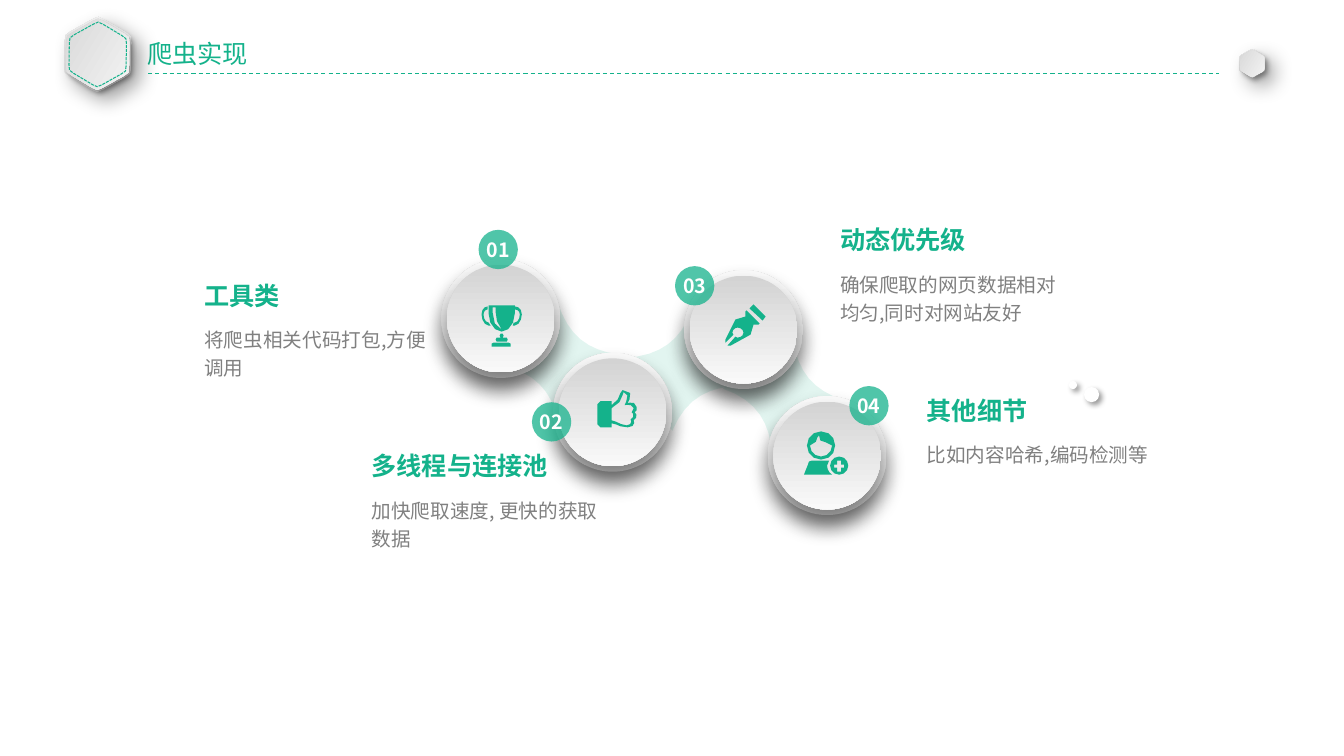
import math
from pptx import Presentation
from pptx.dml.color import RGBColor
from pptx.enum.dml import MSO_LINE
from pptx.enum.shapes import MSO_CONNECTOR, MSO_SHAPE
from pptx.enum.text import MSO_ANCHOR, MSO_AUTO_SIZE, PP_ALIGN
from pptx.oxml import parse_xml
from pptx.oxml.ns import nsdecls, qn
from pptx.util import Inches, Pt

OVAL = MSO_SHAPE.OVAL
STRAIGHT = MSO_CONNECTOR.STRAIGHT
DASH, SHORT_DASH = MSO_LINE.DASH, MSO_LINE.SQUARE_DOT
TOP, MIDDLE = MSO_ANCHOR.TOP, MSO_ANCHOR.MIDDLE
LEFT, CENTER = PP_ALIGN.LEFT, PP_ALIGN.CENTER
NO_AUTOFIT = MSO_AUTO_SIZE.NONE

FONT = "Noto Sans CJK SC"
GREEN, GRAY, WHITE = "14B28B", "808080", "FFFFFF"
SILVER, PEARL = "D3D3D3", "F9F9F9"
DEEP, SOFT = (15, 9), (4, 3)

BRIDGE = "0,0 87,0 C 67,33 72,57 87,80 0,80 C 15,57 21,31 0,0"
BRIDGES = [(6.33, 3.29, 236.3), (7.33, 3.51, 322.6), (5.1, 3.17, 312)]

TROPHY = (
    "33,20 31,20 32,17 33,17 C 36,17 38,13 38,9 C 38,6 36,4 33,4 33,1 C 37,1 40,4 40,9 C 40,14 37,20 33,20"
    " / 20,26 C 13,26 7,18 7,8 7,0 33,0 33,8 C 33,18 27,26 20,26"
    " / 14,2 11,2 C 11,2 10,23 20,24 C 13,18 14,2 14,2"
    " / 7,17 9,20 7,20 C 3,20 0,14 0,9 C 0,4 3,1 6,1 6,4 C 4,4 2,6 2,9 C 2,13 4,17 7,17"
    " / 18,30 19,28 21,28 22,30 21,32 19,32"
    " / 26,34 25,36 15,36 14,34 15,32 25,32"
    " / 12,37 27,37 29,38 29,41 10,41 10,38"
)
THUMB = (
    "37,23 C 40,24 39,30 36,31 C 37,33 37,38 30,38 C 21,38 19,34 14,34 14,38 3,38 0,35 0,15 3,12 14,12 14,16"
    " C 23,12 22,1 25,1 C 39,0 30,14 30,14 C 30,14 38,11 39,18 39,21 37,23"
    " / 27,16 C 27,16 34,3 26,3 C 25,3 25,15 14,19 14,31 C 18,31 23,36 29,36 C 34,36 34,32 33,30"
    " C 37,29 36,23 34,23 36,19 C 35,14 27,16 27,16"
)
PEN = (
    "37,16 24,4 28,0 40,12 / 33,20 28,20 25,30 5,41 2,41 10,32 12,33 C 15,33 18,31 18,28"
    " C 18,25 15,23 12,23 C 10,23 7,25 7,28 8,30 0,38 0,35 10,15 20,12 20,7 21,6 34,19"
)
USER = (
    "35,43 C 30,43 26,39 26,34 C 26,29 30,25 35,25 C 40,25 44,29 44,34 C 44,39 40,43 35,43"
    " / 40,33 37,33 37,29 33,29 33,33 30,33 30,36 33,36 33,40 37,40 37,36 40,36"
    " / 17,28 C 9,28 3,22 3,14 C 3,6 9,0 17,0 C 25,0 31,6 31,14 C 31,22 25,28 17,28"
    " / 15,4 C 11,5 16,11 6,14 C 6,20 11,25 17,25 C 23,25 28,20 28,14 C 23,9 13,12 15,4"
    " / 8,29 25,29 23,34 C 23,38 25,41 28,43 0,43 4,33 5,30"
)
STATIONS = [
    ("01", (4.38, 2.57), (0.37, -0.29), TROPHY, (0.4, 0.46), (1.93, 2.73), 0.64,
     "工具类", "将爬虫相关代码打包,方便调用"),
    ("02", (5.49, 3.5), (-0.21, 0.49), THUMB, (0.44, 0.36), (3.59, 4.42), 0.64,
     "多线程与连接池", "加快爬取速度, 更快的获取\n数据"),
    ("03", (6.79, 2.68), (-0.09, -0.04), PEN, (0.41, 0.34), (8.24, 2.18), 0.64,
     "动态优先级", "确保爬取的网页数据相对均匀,同时对网站友好"),
    ("04", (7.62, 3.93), (0.81, -0.1), USER, (0.36, 0.35), (9.1, 3.87), 0.36,
     "其他细节", "比如内容哈希,编码检测等"),
]


def rgb(color):
    return RGBColor.from_string(color)


def paint(shape, color=None, opacity=100, gradient_angle=None, shadow=None, angle=45):
    shape.line.fill.background()
    shape.shadow.inherit = False
    properties = shape.element.spPr
    if gradient_angle is not None:
        shape.fill.gradient()
        shape.fill.gradient_angle = gradient_angle
        for stop, stop_color in zip(shape.fill.gradient_stops, (SILVER, PEARL)):
            stop.color.rgb = rgb(stop_color)
    elif color:
        shape.fill.solid()
        shape.fill.fore_color.rgb = rgb(color)
        if opacity < 100:
            tint = properties.find(qn("a:solidFill")).find(qn("a:srgbClr"))
            tint.append(parse_xml(f'<a:alpha {nsdecls("a")} val="{opacity * 1000}"/>'))
    else:
        shape.fill.background()
    if shadow:
        blur, distance = shadow
        properties.find(qn("a:effectLst")).append(parse_xml(
            f'<a:outerShdw {nsdecls("a")} blurRad="{Pt(blur)}" dist="{Pt(distance)}" '
            f'dir="{angle * 60000}" algn="ctr" rotWithShape="0">'
            '<a:srgbClr val="000000"><a:alpha val="40000"/></a:srgbClr></a:outerShdw>'))


def write(shape, text, size, color, bold=False, align=LEFT, anchor=TOP, spacing=None, insets=(0.1, 0.05)):
    frame = shape.text_frame
    frame.text = text
    frame.word_wrap = True
    frame.auto_size = NO_AUTOFIT
    frame.vertical_anchor = anchor
    frame.margin_left = frame.margin_right = Inches(insets[0])
    frame.margin_top = frame.margin_bottom = Inches(insets[1])
    for paragraph in frame.paragraphs:
        paragraph.alignment = align
        paragraph.line_spacing = spacing
        for run in paragraph.runs:
            run.font.size = Pt(size)
            run.font.bold = bold
            run.font.name = FONT
            run.font.color.rgb = rgb(color)
    for latin in list(shape.element.iter(qn("a:latin"))):
        latin.addnext(parse_xml(f'<a:ea {nsdecls("a")} typeface="{FONT}"/>'))


def bezier(start, first, second, end, steps):
    for step in range(1, steps + 1):
        t = step / steps
        weights = ((1 - t) ** 3, 3 * t * (1 - t) ** 2, 3 * t * t * (1 - t), t ** 3)
        yield tuple(sum(w * p[axis] for w, p in zip(weights, (start, first, second, end))) for axis in (0, 1))


def contour(outline, steps):
    points, tokens = [], iter(outline.split())
    for token in tokens:
        if token == "C":
            controls = [tuple(map(float, next(tokens).split(","))) for _ in range(3)]
            points.extend(bezier(points[-1], *controls, steps))
        else:
            points.append(tuple(map(float, token.split(","))))
    return [(x / 100, y / 100) for x, y in points]


def add_outline(slide, left, top, contours):
    scaled = [[(Inches(x), Inches(y)) for x, y in points] for points in contours]
    builder = slide.shapes.build_freeform(*scaled[0][0], scale=1.0)
    for index, points in enumerate(scaled):
        if index:
            builder.move_to(*points[0])
        builder.add_line_segments(points[1:], close=True)
    return builder.convert_to_shape(Inches(left), Inches(top))


def add_hexagon(slide, center_x, center_y, width):
    radius = width * 0.52
    corners = [(radius * math.cos(k * math.pi / 3), radius * math.sin(k * math.pi / 3)) for k in range(6)]
    points = []
    for k, corner in enumerate(corners):
        enter, leave = [tuple(c + (n - c) / 6 for c, n in zip(corner, corners[(k + turn) % 6])) for turn in (-1, 1)]
        points.append(enter)
        points.extend(bezier(enter, corner, corner, leave, 2))
    shape = add_outline(slide, center_x, center_y, [points])
    shape.rotation = 30.9
    return shape


def add_oval(slide, left, top, size):
    return slide.shapes.add_shape(OVAL, Inches(left), Inches(top), Inches(size), Inches(size))


def add_header(slide, left, top, width, text):
    for center_x, center_y, size in ((left + 0.37, top + 0.33, 0.73), (left + width - 0.14, top + 0.42, 0.28)):
        paint(add_hexagon(slide, center_x, center_y, size), gradient_angle=90, shadow=DEEP)
        paint(add_hexagon(slide, center_x, center_y, size * 0.95), gradient_angle=0, shadow=SOFT)
    ring = add_hexagon(slide, left + 0.37, top + 0.33, 0.63)
    paint(ring)
    ring.line.color.rgb = rgb(GREEN)
    ring.line.width = Pt(0.75)
    ring.line.dash_style = SHORT_DASH
    title = slide.shapes.title
    title.left, title.top = Inches(left + 0.79), Inches(top + 0.13)
    title.width, title.height = Inches(2.05), Inches(0.38)
    write(title, text, 18, GREEN, insets=(0.07, 0.04))
    rule_y = Inches(top + 0.52)
    rule = slide.shapes.add_connector(STRAIGHT, Inches(left + 0.87), rule_y, Inches(left + width - 0.47), rule_y)
    rule.line.color.rgb = rgb(GREEN)
    rule.line.width = Pt(0.75)
    rule.line.dash_style = DASH
    rule.element.spPr.append(parse_xml(f'<a:effectLst {nsdecls("a")}/>'))


def add_station(slide, number, disc, badge_offset, icon, icon_offset, label, body_height, heading, body):
    left, top = disc
    paint(add_oval(slide, left, top, 1.18), gradient_angle=90, shadow=DEEP, angle=90)
    paint(add_oval(slide, left + 0.055, top + 0.055, 1.07), gradient_angle=270, shadow=DEEP, angle=90)
    contours = [contour(part, 3) for part in icon.split("/")]
    paint(add_outline(slide, left + icon_offset[0], top + icon_offset[1], contours), GREEN)
    badge = add_oval(slide, left + badge_offset[0], top + badge_offset[1], 0.39)
    paint(badge, GREEN, opacity=74)
    write(badge, number, 14, WHITE, bold=True, align=CENTER, anchor=MIDDLE, insets=(0, 0))
    x, y = label
    heading_box = slide.shapes.add_textbox(Inches(x), Inches(y), Inches(2.61), Inches(0.4))
    write(heading_box, heading, 18, GREEN, bold=True)
    body_box = slide.shapes.add_textbox(Inches(x), Inches(y + 0.43), Inches(2.52), Inches(body_height))
    write(body_box, body, 14, GRAY, spacing=1.2)


def main():
    presentation = Presentation()
    presentation.slide_width, presentation.slide_height = Inches(13.34), Inches(7.5)
    slide = presentation.slides.add_slide(presentation.slide_layouts[5])
    for left, top, rotation in BRIDGES:
        bridge = add_outline(slide, left, top, [contour(BRIDGE, 8)])
        bridge.rotation = rotation
        paint(bridge, GREEN, opacity=12)
    add_header(slide, 0.6, 0.21, 11.97, "爬虫实现")
    for station in STATIONS:
        add_station(slide, *station)
    for left, top, size in ((10.61, 3.78, 0.08), (10.76, 3.84, 0.15)):
        paint(add_oval(slide, left, top, size), WHITE, shadow=SOFT)
    presentation.save("out.pptx")


if __name__ == "__main__":
    main()
